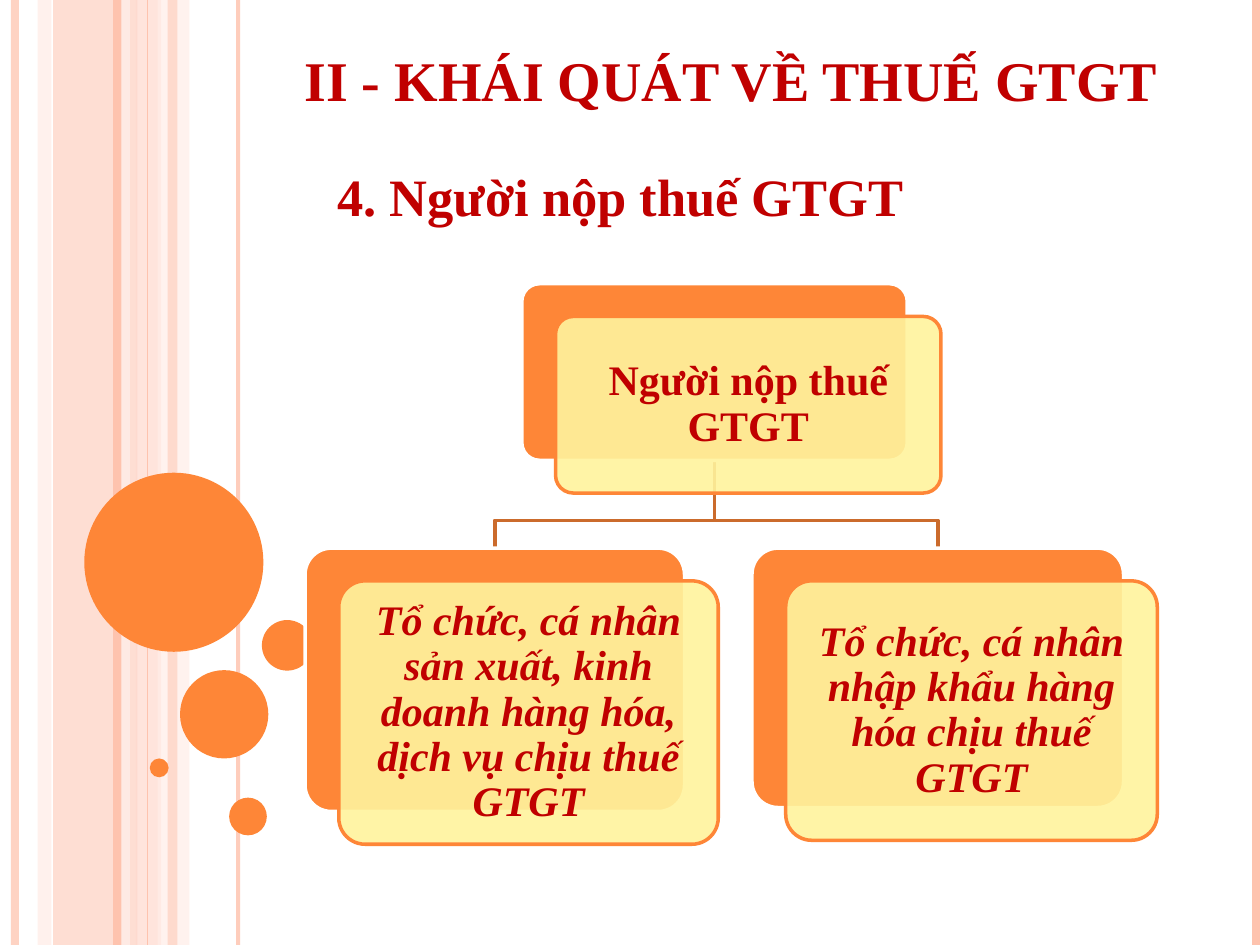
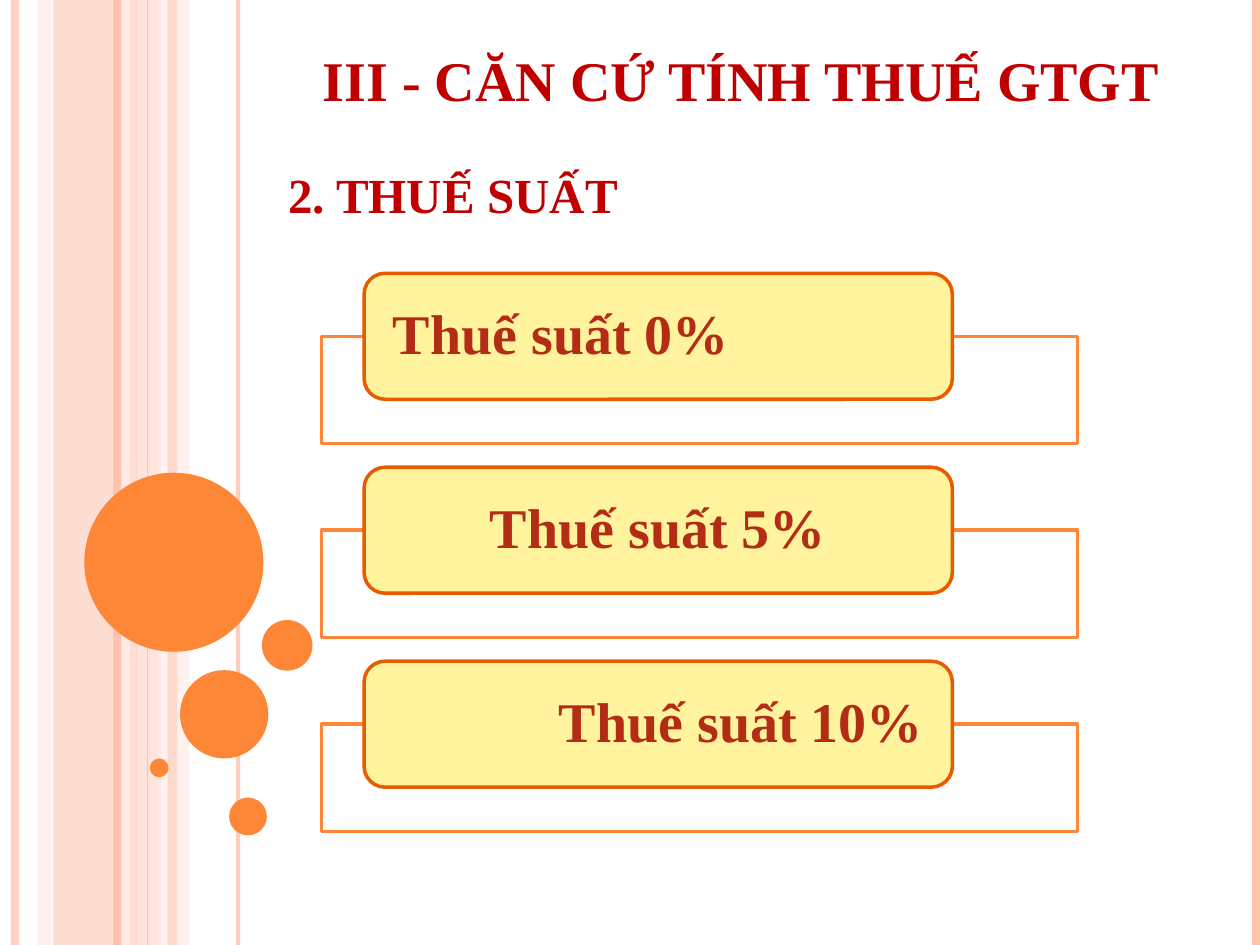
from pptx import Presentation
from pptx.dml.color import RGBColor
from pptx.enum.shapes import MSO_CONNECTOR, MSO_SHAPE
from pptx.enum.text import MSO_ANCHOR, PP_ALIGN
from pptx.oxml.ns import qn
from pptx.util import Cm, Pt
from lxml.etree import SubElement

WIDTH, HEIGHT = 25.4, 19.05
FONT = "Times New Roman"
COLORS = {
    "orange": "FE8637", "rust": "E75C01", "brown": "CB6B2C",
    "yellow": "FFF39D", "white": "FFFFFF", "red": "C00000",
    "brick": "B32C16", "peach": "FEC3AE", "blush": "FFD9CE",
    "pale": "FFEDE8",
}

# Side decoration, in cm: left, width, colour, opacity
BANDS = [(1.07, 1.7, "peach", 54), (0.76, 0.28, "blush", 36),
         (2.74, 0.51, "blush", 70), (3.18, 0.64, "pale", 71)]
TOP_BAND = (3.38, 0.2, "peach", 51)
# x, colour, points, opacity
STRIPES = [(0.3, "peach", 4.5, 73), (2.54, "pale", 4.5, 83),
           (2.36, "peach", 4.5, 100), (4.8, "peach", 2.25, 82),
           (2.97, "peach", 0.75, 100), (25.32, "peach", 4.5, 100)]
# left, top, diameter
DOTS = [(1.7, 9.53, 3.61), (3.63, 13.51, 1.78), (3.02, 15.29, 0.38),
        (4.62, 16.08, 0.76), (5.28, 12.5, 1.02)]


def paint(fmt, color, alpha=100):
    """Give a fill a solid colour and an opacity in percent."""
    fmt.solid()
    fmt.fore_color.rgb = RGBColor.from_string(COLORS[color])
    if alpha < 100:
        node = fmt._xPr.find(qn("a:solidFill"))[0]
        SubElement(node, qn("a:alpha")).set("val", str(alpha * 1000))


def write(shape, text, size=24, color="red", italic=False,
          align=PP_ALIGN.CENTER, anchor=MSO_ANCHOR.MIDDLE,
          pad=(0.25, 0.25), spacing=0.9):
    """Put bold text in a shape; pad is the side and top inset in cm."""
    frame = shape.text_frame
    frame.word_wrap = True
    frame.vertical_anchor = anchor
    frame.margin_left = frame.margin_right = Cm(pad[0])
    frame.margin_top = frame.margin_bottom = Cm(pad[1])
    para = frame.paragraphs[0]
    para.alignment = align
    para.line_spacing = spacing
    run = para.add_run()
    run.text = text
    font = run.font
    font.name, font.size = FONT, Pt(size)
    font.bold, font.italic = True, italic
    font.color.rgb = RGBColor.from_string(COLORS[color])


class Deck:
    def __init__(self):
        self.prs = Presentation()
        self.prs.slide_width, self.prs.slide_height = Cm(WIDTH), Cm(HEIGHT)
        self.slide = None

    def shape(self, kind, x, y, w, h, fill, alpha=100, line=None, adj=None):
        item = self.slide.shapes.add_shape(kind, Cm(x), Cm(y), Cm(w), Cm(h))
        item.shadow.inherit = False
        paint(item.fill, fill, alpha)
        if line:
            paint(item.line.fill, line)
            item.line.width = Pt(2)
        else:
            item.line.fill.background()
        if adj is not None:
            item.adjustments[0] = adj
        return item

    def band(self, x, w, color, alpha):
        self.shape(MSO_SHAPE.RECTANGLE, x, 0, w, HEIGHT, color, alpha)

    def stripe(self, x, color, width, alpha):
        line = self.slide.shapes.add_connector(
            MSO_CONNECTOR.STRAIGHT, Cm(x), 0, Cm(x), Cm(HEIGHT))
        paint(line.line.fill, color, alpha)
        line.line.width = Pt(width)
        SubElement(line._element.spPr, qn("a:effectLst"))

    def label(self, text, x, y, w, h, **style):
        box = self.slide.shapes.add_textbox(Cm(x), Cm(y), Cm(w), Cm(h))
        write(box, text, anchor=MSO_ANCHOR.TOP, pad=(0.25, 0.13),
              spacing=1.0, **style)

    def page(self, title, width):
        """Start a slide with the side decoration and its title."""
        self.slide = self.prs.slides.add_slide(self.prs.slide_layouts[6])
        for band in BANDS:
            self.band(*band)
        for stripe in STRIPES:
            self.stripe(*stripe)
        self.band(*TOP_BAND)
        for x, y, size in DOTS:
            self.shape(MSO_SHAPE.OVAL, x, y, size, size, "orange")
        self.label(title, 5.56, 0.79, width, 1.63, size=32)

    def branch(self, x, y, end, low, knee):
        """Draw an elbow from (x, y) down to (end, low)."""
        path = self.slide.shapes.build_freeform(Cm(x), Cm(y))
        path.add_line_segments(
            [(Cm(x), Cm(knee)), (Cm(end), Cm(knee)), (Cm(end), Cm(low))],
            close=False)
        item = path.convert_to_shape()
        item.shadow.inherit = False
        item.fill.background()
        paint(item.line.fill, "brown")
        item.line.width = Pt(2)

    def node(self, text, x, y, w, h, italic=False):
        """Draw a card in front of an orange plate."""
        kind = MSO_SHAPE.ROUNDED_RECTANGLE
        self.shape(kind, x, y, w, h, "orange", line="white", adj=0.1)
        card = self.shape(kind, x + 0.68, y + 0.66, w, h, "yellow", 90,
                          line="orange", adj=0.1)
        write(card, text, italic=italic)

    def rate(self, text, y, align):
        """Draw a rate pill on a framed strip."""
        self.shape(MSO_SHAPE.RECTANGLE, 6.48, y + 1.27, 15.24, 2.16,
                   "white", 90, line="orange")
        pill = self.shape(MSO_SHAPE.ROUNDED_RECTANGLE, 7.34, y, 11.86, 2.54,
                          "yellow", line="rust")
        write(pill, text, size=32, color="brick", align=align, pad=(0.46, 0))


deck = Deck()

# Slide 1: who pays the tax
deck.page("II - KHÁI QUÁT VỀ THUẾ GTGT", 18.36)
deck.label("4. Người nộp thuế GTGT", 6.55, 3.18, 16.71, 1.55,
           size=30, align=PP_ALIGN.LEFT)
root = (10.52, 5.72, 7.77, 3.56)
row = 11.05
kids = [
    ("Tổ chức, cá nhân sản xuất, kinh doanh hàng hóa, "
     "dịch vụ chịu thuế GTGT", 6.15, row, 7.65, 5.31),
    ("Tổ chức, cá nhân nhập khẩu hàng hóa chịu thuế GTGT",
     15.16, row, 7.49, 5.23),
]
mid, base = root[0] + root[2] / 2, root[1] + root[3]
for _, x, y, w, _ in reversed(kids):
    deck.branch(mid, base, x + w / 2, y, knee=10.49)
deck.node("Người nộp thuế GTGT", *root)
for kid in kids:
    deck.node(*kid, italic=True)

# Slide 2: tax rates
deck.page("III - CĂN CỨ TÍNH THUẾ GTGT", 18.77)
deck.label("2. THUẾ SUẤT", 5.56, 3.18, 19.2, 1.45,
           size=28, align=PP_ALIGN.LEFT)
rates = [("0%", PP_ALIGN.LEFT), ("5%", PP_ALIGN.CENTER),
         ("10%", PP_ALIGN.RIGHT)]
for i, (value, align) in enumerate(rates):
    deck.rate(f"Thuế suất {value}", 5.51 + 3.91 * i, align)

deck.prs.save("out.pptx")
